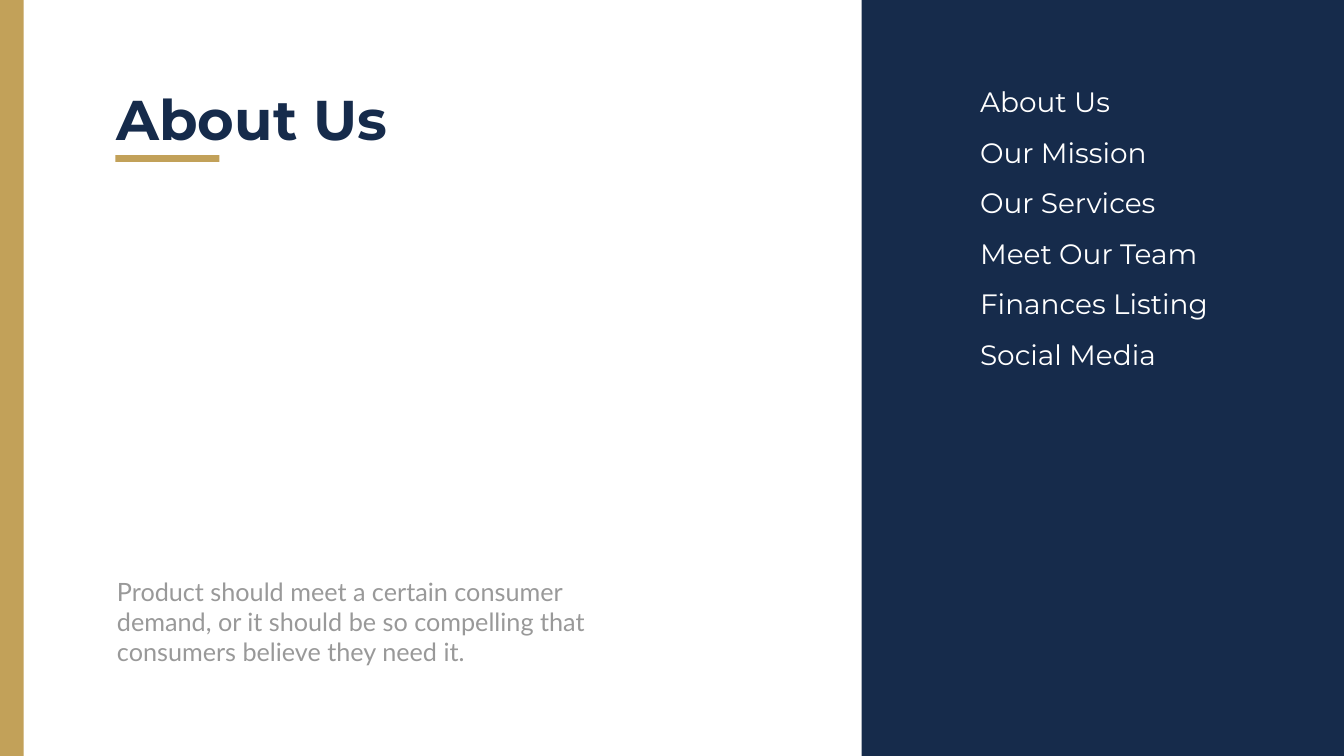
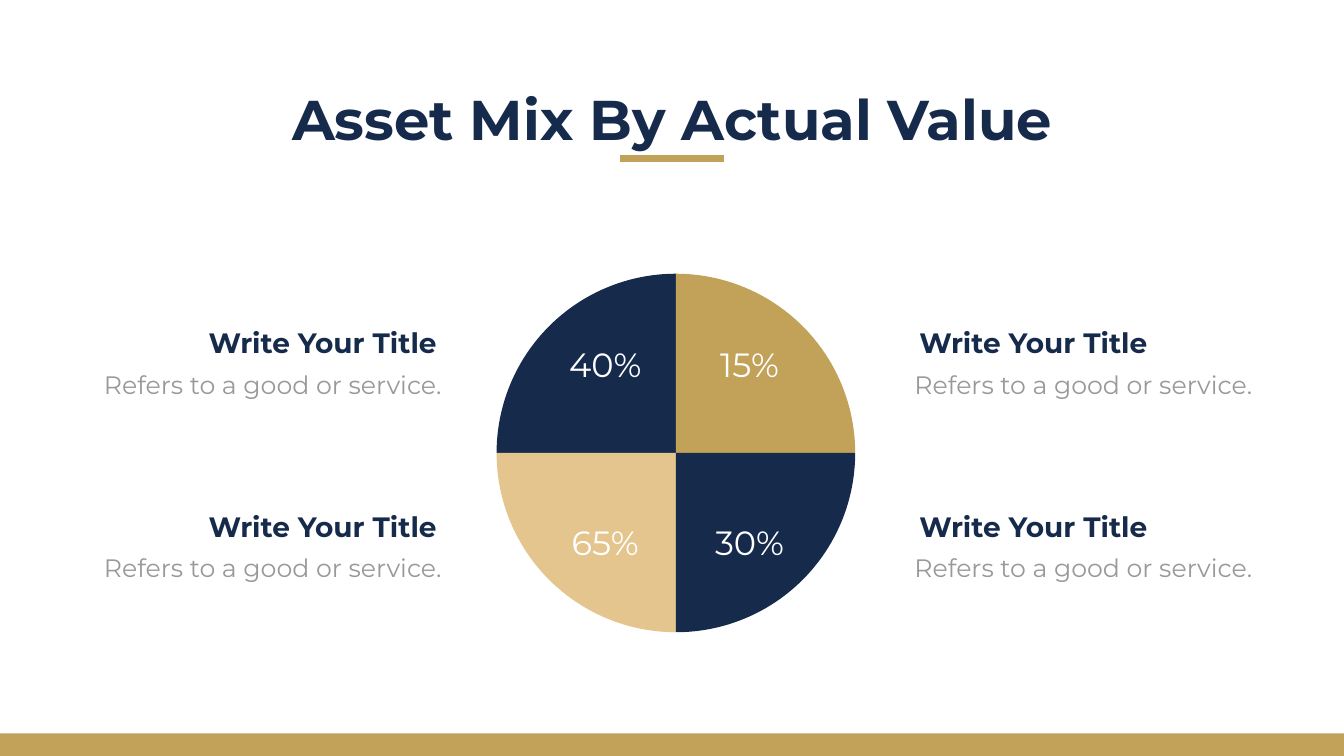
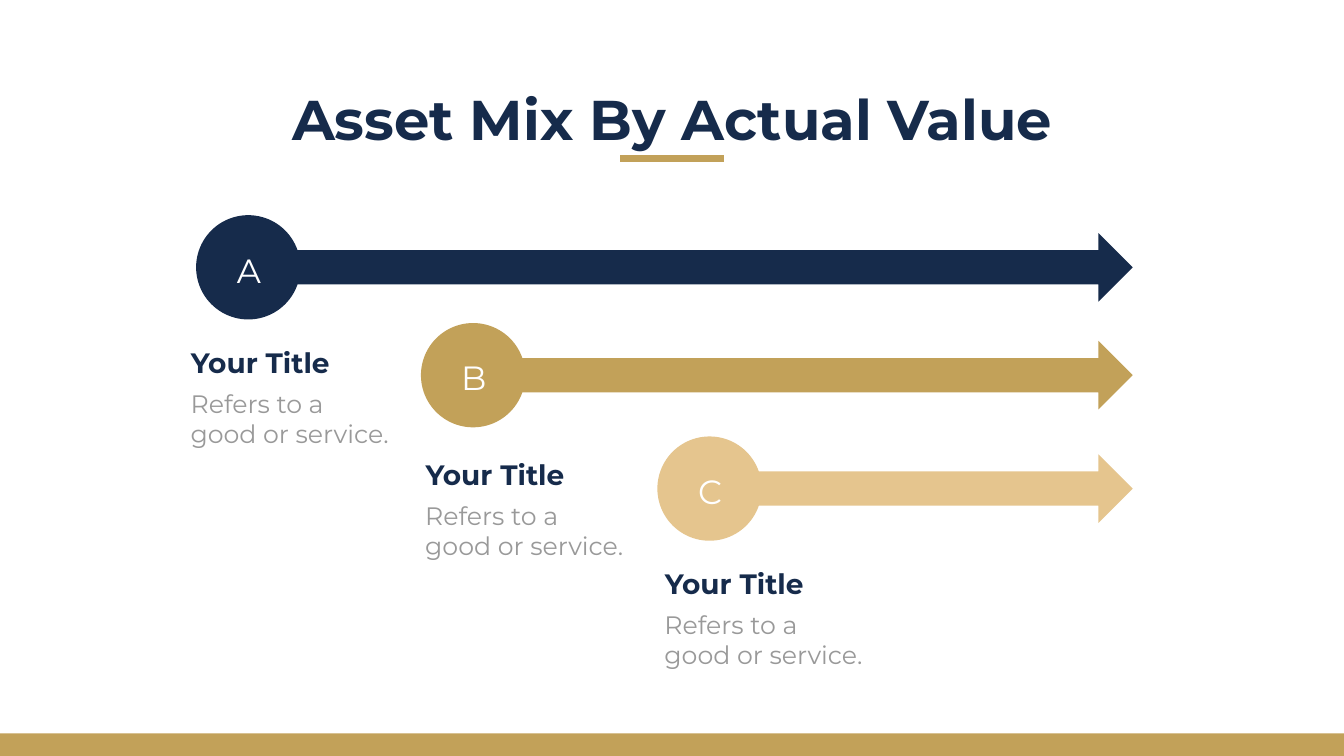
from pptx import Presentation
from pptx.dml.color import RGBColor
from pptx.enum.shapes import MSO_SHAPE
from pptx.enum.text import MSO_ANCHOR, MSO_AUTO_SIZE, PP_ALIGN
from pptx.oxml.ns import qn
from pptx.util import Pt

NAVY = RGBColor(0x16, 0x2B, 0x4B)
GOLD = RGBColor(0xC2, 0xA1, 0x59)
SAND = RGBColor(0xE5, 0xC5, 0x8E)
GREY = RGBColor(0x99, 0x99, 0x99)
WHITE = RGBColor(0xFF, 0xFF, 0xFF)

LEFT, CENTER, RIGHT = PP_ALIGN.LEFT, PP_ALIGN.CENTER, PP_ALIGN.RIGHT
RECTANGLE, OVAL = MSO_SHAPE.RECTANGLE, MSO_SHAPE.OVAL
ARROW, WEDGE = MSO_SHAPE.RIGHT_ARROW, MSO_SHAPE.PIE_WEDGE

HEAD_FONT, NOTE_FONT = "Montserrat", "Lato"
WIDTH, HEIGHT = 1919.52, 1080
TITLE_TOP, TITLE_HEIGHT = 117.4, 104.4
RULE_WIDTH, RULE_HEIGHT = 148.3, 9.4
BODY_LAYOUT, TITLE_LAYOUT = 1, 5
WIDE_INSETS = (17.3, 8.6)
NORMAL_INSETS = (7.2, 3.6)

MENU = ["About Us", "Our Mission", "Our Services", "Meet Our Team",
        "Finances Listing", "Social Media"]


# Basic elements
def add_block(slide, kind, left, top, width, height, color, rotation=0):
    block = slide.shapes.add_shape(kind, Pt(left), Pt(top), Pt(width), Pt(height))
    block.shadow.inherit = False
    block.fill.solid()
    block.fill.fore_color.rgb = color
    block.line.fill.background()
    block.rotation = rotation
    return block


def place(box, left, top, width, height):
    box.left, box.top = Pt(left), Pt(top)
    box.width, box.height = Pt(width), Pt(height)


def write(box, lines, size, color, align=LEFT, bold=False, font=HEAD_FONT,
          insets=NORMAL_INSETS, gap=0, line_height=None):
    frame = box.text_frame
    frame.word_wrap = True
    frame.auto_size = MSO_AUTO_SIZE.NONE
    frame.vertical_anchor = MSO_ANCHOR.TOP
    frame.margin_left = frame.margin_right = Pt(insets[0])
    frame.margin_top = frame.margin_bottom = Pt(insets[1])
    for index, line in enumerate(lines):
        para = frame.add_paragraph() if index else frame.paragraphs[0]
        para.alignment = align
        para.space_before = Pt(gap if index else 0)
        if line_height:
            para.line_spacing = Pt(line_height)
        span = para.add_run()
        span.text = line
        span.font.name = font
        span.font.size = Pt(size)
        span.font.bold = bold
        span.font.color.rgb = color


def add_text(slide, left, top, width, height, text, size, color, **style):
    box = slide.shapes.add_textbox(Pt(left), Pt(top), Pt(width), Pt(height))
    write(box, [text], size, color, **style)


# Shared parts
def add_title(slide, text, left, width, rule_left, align):
    place(slide.shapes.title, left, TITLE_TOP, width, TITLE_HEIGHT)
    write(slide.shapes.title, [text], 80, NAVY, align=align, bold=True)
    add_block(slide, RECTANGLE, rule_left, TITLE_TOP + TITLE_HEIGHT,
              RULE_WIDTH, RULE_HEIGHT, GOLD)


def add_centered_slide(deck, title):
    slide = deck.slides.add_slide(deck.slide_layouts[TITLE_LAYOUT])
    add_title(slide, title, 279.4, 1361.5, (WIDTH - RULE_WIDTH) / 2, CENTER)
    add_block(slide, RECTANGLE, 0, 1047.6, WIDTH, 32.4, GOLD)
    return slide


def add_caption(slide, heading, detail, heading_left, heading_width,
                detail_left, detail_width, top, detail_height, align=LEFT):
    add_text(slide, detail_left, top + 56.2, detail_width, detail_height, detail,
             36, GREY, align=align, insets=WIDE_INSETS)
    add_text(slide, heading_left, top, heading_width, 55.4, heading,
             40, NAVY, align=align, bold=True)


def add_menu(slide, lines):
    menu = slide.placeholders[1]
    place(menu, 1392.5, TITLE_TOP, 411.1, 420)
    write(menu, lines, 40, WHITE, gap=24.1)
    for para in menu.text_frame.paragraphs:
        settings = para._p.get_or_add_pPr()
        settings.set("marL", "0")
        settings.set("indent", "0")
        settings.append(settings.makeelement(qn("a:buNone"), {}))


# Slides
def build_about(deck):
    slide = deck.slides.add_slide(deck.slide_layouts[BODY_LAYOUT])
    panel = add_block(slide, RECTANGLE, 1230.5, 0, WIDTH - 1230.5, HEIGHT, NAVY)
    slide.shapes._spTree.insert(2, panel._element)  # behind the menu
    add_menu(slide, MENU)
    add_text(slide, 149.8, 815, 715.7, 147.6,
             "Product should meet a certain consumer demand, or it should be "
             "so compelling that consumers believe they need it.",
             36, GREY, font=NOTE_FONT, insets=WIDE_INSETS, line_height=43)
    add_title(slide, "About Us", 159.1, 444.2, 164.9, LEFT)
    add_block(slide, RECTANGLE, 0, 0, 33.8, HEIGHT, GOLD)


def build_wheel(deck):
    slide = add_centered_slide(deck, "Asset Mix By Actual Value")
    wheel_left, wheel_top, radius = 709.2, 391, 256.1
    label_width = 168
    # column, row, rotation, colour, share
    quarters = [(0, 0, 0, NAVY, "40%"), (1, 0, 90, GOLD, "15%"),
                (0, 1, 270, SAND, "65%"), (1, 1, 180, NAVY, "30%")]
    for column, row, rotation, color, share in quarters:
        add_block(slide, WEDGE, wheel_left + column * radius,
                  wheel_top + row * radius, radius, radius, color, rotation)
        label_center = (864.4, 1070.5)[column]
        add_text(slide, label_center - label_width / 2, 488.2 + row * 254.2,
                 label_width, 65.5, share, 48, WHITE, align=CENTER)

    # heading left, detail left, alignment for each side
    sides = [(222.5, 131, RIGHT), (1306.1, 1288.8, LEFT)]
    for heading_left, detail_left, align in sides:
        for row in range(2):
            add_caption(slide, "Write Your Title", "Refers to a good or service.",
                        heading_left, 408.2, detail_left, 517,
                        462.2 + row * 262.1, 61.2, align)


def build_arrows(deck):
    slide = add_centered_slide(deck, "Asset Mix By Actual Value")
    diameter, arrow_height, arrow_end = 149, 97.9, 1617.8
    # letter, colour, circle left and top, caption left and top
    stages = [("A", NAVY, 280.1, 307.4, 265.7, 489.6),
              ("B", GOLD, 601.2, 461.5, 600.8, 650.2),
              ("C", SAND, 938.9, 623.5, 942.5, 805.7)]
    for letter, color, left, top, caption_left, caption_top in stages:
        arrow_left = left + 31
        add_block(slide, ARROW, arrow_left, top + (diameter - arrow_height) / 2,
                  arrow_end - arrow_left, arrow_height, color)
        add_block(slide, OVAL, left, top, diameter, diameter, color)
        add_text(slide, left + 14.5, top + 45.4, 121.7, 54.7, letter,
                 48, WHITE, align=CENTER)
        add_caption(slide, "Your Title", "Refers to a good or service.",
                    caption_left, 254.2, caption_left - 10.8, 321.8,
                    caption_top, 104.4)


def main():
    deck = Presentation()
    deck.slide_width, deck.slide_height = Pt(WIDTH), Pt(HEIGHT)
    build_about(deck)
    build_wheel(deck)
    build_arrows(deck)
    deck.save("out.pptx")


if __name__ == "__main__":
    main()
